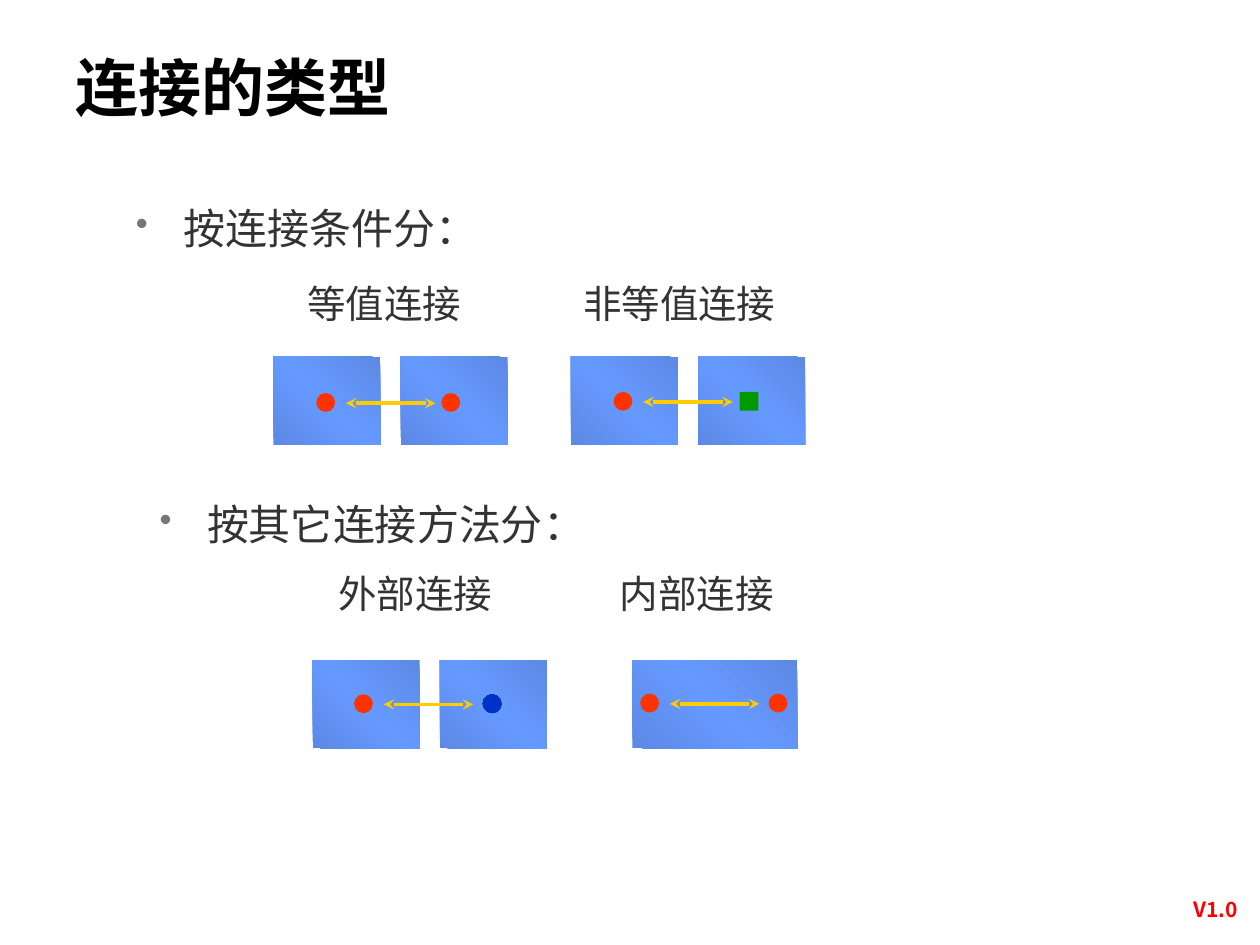
"""Build a slide that shows the types of table joins."""
import copy

import lxml.etree
import pptx
import pptx.dml.color
import pptx.enum.shapes
import pptx.enum.text
import pptx.oxml.ns
import pptx.util

Pt = pptx.util.Pt
qn = pptx.oxml.ns.qn
ALIGN = pptx.enum.text.PP_ALIGN
ANCHOR = pptx.enum.text.MSO_ANCHOR
SHAPE = pptx.enum.shapes.MSO_SHAPE
FONT = "Noto Sans CJK SC"
COLORS = {
    "title": "000000", "text": "333333", "bullet": "777777", "version": "FF0000",
    "panel": "6699FF", "panel_edge": "5C89E5", "arrow": "FFCC00",
    "red": "FF3300", "green": "009900", "blue": "0033CC", "blue_edge": "002EB7",
}

presentation = pptx.Presentation()
presentation.slide_width, presentation.slide_height = Pt(720), Pt(540)
slide = presentation.slides.add_slide(presentation.slide_layouts[6])


def add_text(text, *, left, top, width, height, size, color="text", bold=False,
             align=ALIGN.LEFT, anchor=ANCHOR.TOP, wrap=True, level=0,
             spacing=1.0, margin=0, indent=0, bullet=False):
    box = slide.shapes.add_textbox(Pt(left), Pt(top), Pt(width), Pt(height))
    frame = box.text_frame
    frame.word_wrap = wrap
    frame.vertical_anchor = anchor
    paragraph = frame.paragraphs[0]
    paragraph.level = level
    paragraph.alignment = align
    paragraph.line_spacing = spacing
    properties = paragraph._p.get_or_add_pPr()
    properties.set("marL", str(Pt(margin)))
    properties.set("indent", str(Pt(indent)))
    if bullet:
        bullet_color = lxml.etree.SubElement(properties, qn("a:buClr"))
        lxml.etree.SubElement(bullet_color, qn("a:srgbClr"), val=COLORS["bullet"])
        lxml.etree.SubElement(properties, qn("a:buSzPct"), val="85000")
        lxml.etree.SubElement(properties, qn("a:buChar"), char="•")
    run = paragraph.add_run()
    run.text = text
    run.font.size = Pt(size)
    run.font.bold = bold
    run.font.color.rgb = pptx.dml.color.RGBColor.from_string(COLORS[color])
    run.font.name = FONT
    lxml.etree.SubElement(run._r.get_or_add_rPr(), qn("a:ea"), typeface=FONT)


def add_filled(group, kind, left, top, width, height, color):
    shape = group.shapes.add_shape(kind, Pt(left), Pt(top), Pt(width), Pt(height))
    shape.shadow.inherit = False
    shape.line.fill.background()
    main = pptx.dml.color.RGBColor.from_string(COLORS[color])
    if f"{color}_edge" not in COLORS:
        shape.fill.solid()
        shape.fill.fore_color.rgb = main
        return
    shape.fill.gradient()
    shape.fill.gradient_angle = 45
    edge = pptx.dml.color.RGBColor.from_string(COLORS[f"{color}_edge"])
    first_stop = shape._element.spPr.find(".//" + qn("a:gs"))
    middle_stop = copy.deepcopy(first_stop)
    middle_stop.set("pos", "50000")
    first_stop.addnext(middle_stop)
    for stop, stop_color in zip(shape.fill.gradient_stops, (edge, main, edge)):
        stop.color.rgb = stop_color


add_text("V1.0", left=666, top=509, width=57, height=21.6, size=12, color="version",
         bold=True, align=ALIGN.CENTER, anchor=ANCHOR.MIDDLE, wrap=False)
add_text("连接的类型", left=36, top=21.6, width=573.8, height=55.4, size=36,
         color="title", bold=True, anchor=ANCHOR.MIDDLE)

for text, left, top, width in (
    ("按连接条件分：", 70.6, 106.6, 595.4),
    ("按其它连接方法分：", 84.2, 275.8, 270),
):
    add_text(text, left=left, top=top, width=width, height=42.5, size=24,
             spacing=1.2, margin=27, indent=-27, bullet=True)

for text, left, width, level in (("等值连接", 168.5, 118, 0), ("非等值连接", 326.2, 133.2, 1)):
    add_text(text, left=left, top=151.2, width=width, height=39.6, size=22,
             level=level, spacing=1.2, margin=27, indent=-27)

for text, left, width in (("外部连接", 129.6, 206.6), ("内部连接", 320.4, 146.9)):
    add_text(text, left=left, top=324, width=width, height=33.1, size=22, level=1,
             align=ALIGN.CENTER, spacing=0.95, margin=26.6, indent=-18)

PANEL_HEIGHT, MARK_SIZE, ARROW_OFFSET, ARROW_LENGTH = 50.4, 10.8, 17, 51.1
RED_DOT = (SHAPE.OVAL, "red")
diagrams = (
    ((326.2, 398.9), 61.2, 203.8, (350.6, 422.6), 223.9, (SHAPE.RECTANGLE, "green")),
    ((156.2, 228.9), 61.2, 203.8, (180.7, 252.2), 224.6, RED_DOT),
    ((178.6, 251.3), 61.2, 377.3, (202.3, 275.8), 396.7, (SHAPE.OVAL, "blue")),
    ((361.4,), 94.3, 377.3, (365.8, 439.2), 396.4, RED_DOT),
)
for panel_lefts, panel_width, panel_top, mark_lefts, mark_top, second_mark in diagrams:
    group = slide.shapes.add_group_shape()
    for left in panel_lefts:
        add_filled(group, SHAPE.RECTANGLE, left, panel_top, panel_width, PANEL_HEIGHT, "panel")
    for left, (kind, color) in zip(mark_lefts, (RED_DOT, second_mark)):
        add_filled(group, kind, left, mark_top, MARK_SIZE, MARK_SIZE, color)
    start = mark_lefts[0] + ARROW_OFFSET
    middle = mark_top + 5.8
    arrow = group.shapes.add_connector(
        pptx.enum.shapes.MSO_CONNECTOR.STRAIGHT,
        Pt(start), Pt(middle), Pt(start + ARROW_LENGTH), Pt(middle))
    arrow.line.width = Pt(2)
    arrow.line.color.rgb = pptx.dml.color.RGBColor.from_string(COLORS["arrow"])
    for end in ("a:headEnd", "a:tailEnd"):
        lxml.etree.SubElement(arrow.line._get_or_add_ln(), qn(end), type="stealth")
    lxml.etree.SubElement(arrow._element.spPr, qn("a:effectLst"))

presentation.save("out.pptx")
